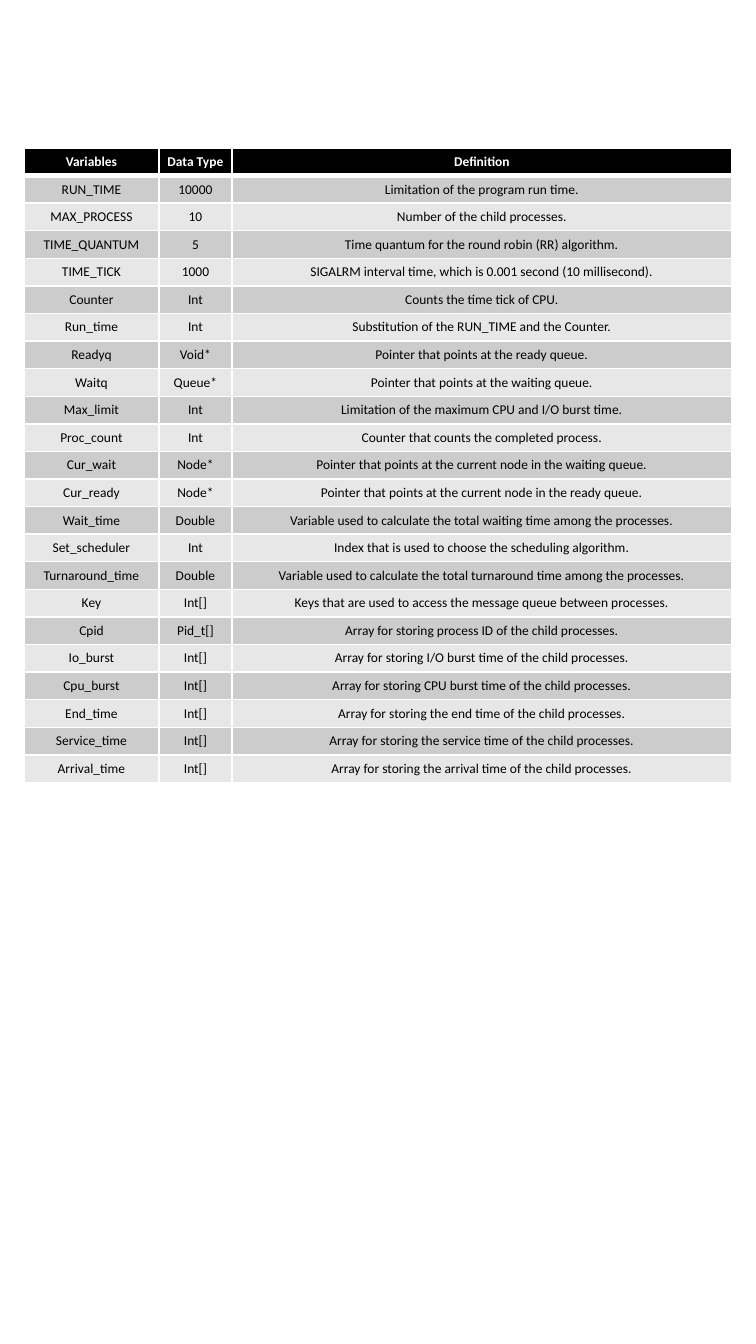
import lxml.etree
import pptx
import pptx.dml.color
import pptx.enum.text
import pptx.oxml.ns
import pptx.util

PX = pptx.util.Inches(1) / 121
SLIDE_WIDTH, SLIDE_HEIGHT = 756, 1344

HEADER = ("Variables", "Data Type", "Definition")
VARIABLES = [
    ("RUN_TIME", "10000", "Limitation of the program run time."),
    ("MAX_PROCESS", "10", "Number of the child processes."),
    ("TIME_QUANTUM", "5", "Time quantum for the round robin (RR) algorithm."),
    ("TIME_TICK", "1000", "SIGALRM interval time, which is 0.001 second (10 millisecond)."),
    ("Counter", "Int", "Counts the time tick of CPU."),
    ("Run_time", "Int", "Substitution of the RUN_TIME and the Counter."),
    ("Readyq", "Void*", "Pointer that points at the ready queue."),
    ("Waitq", "Queue*", "Pointer that points at the waiting queue."),
    ("Max_limit", "Int", "Limitation of the maximum CPU and I/O burst time."),
    ("Proc_count", "Int", "Counter that counts the completed process."),
    ("Cur_wait", "Node*", "Pointer that points at the current node in the waiting queue."),
    ("Cur_ready", "Node*", "Pointer that points at the current node in the ready queue."),
    ("Wait_time", "Double",
     "Variable used to calculate the total waiting time among the processes."),
    ("Set_scheduler", "Int", "Index that is used to choose the scheduling algorithm."),
    ("Turnaround_time", "Double",
     "Variable used to calculate the total turnaround time among the processes."),
    ("Key", "Int[]", "Keys that are used to access the message queue between processes."),
    ("Cpid", "Pid_t[]", "Array for storing process ID of the child processes."),
    ("Io_burst", "Int[]", "Array for storing I/O burst time of the child processes."),
    ("Cpu_burst", "Int[]", "Array for storing CPU burst time of the child processes."),
    ("End_time", "Int[]", "Array for storing the end time of the child processes."),
    ("Service_time", "Int[]", "Array for storing the service time of the child processes."),
    ("Arrival_time", "Int[]", "Array for storing the arrival time of the child processes."),
]


def emu(px):
    return pptx.util.Emu(round(px * PX))


def color(hex_string):
    return pptx.dml.color.RGBColor.from_string(hex_string)


class VariableSheet:
    font = "Calibri"
    font_size = 8
    white, black = "FFFFFF", "000000"
    bands = ("CCCCCC", "E7E7E7")
    thin, thick = 1, 3

    def __init__(self, slide):
        self.slide = slide

    def add_table(self, left, top, height, column_widths, rows):
        """Add a table of equally high rows, the first of them the header."""
        frame = self.slide.shapes.add_table(
            len(rows), len(column_widths),
            emu(left), emu(top), emu(sum(column_widths)), emu(height))
        table = frame.table
        for column, width in zip(table.columns, column_widths):
            column.width = emu(width)
        for index, texts in enumerate(rows):
            table.rows[index].height = emu(height / len(rows))
            for cell, text in zip(table.rows[index].cells, texts):
                self.fill_cell(cell, text, index)

    def fill_cell(self, cell, text, row_index):
        is_header = row_index == 0
        cell.margin_left = cell.margin_right = emu(7)
        cell.margin_top = cell.margin_bottom = emu(4)
        cell.vertical_anchor = pptx.enum.text.MSO_ANCHOR.MIDDLE
        cell.fill.solid()
        cell.fill.fore_color.rgb = color(
            self.black if is_header else self.bands[(row_index - 1) % 2])
        paragraph = cell.text_frame.paragraphs[0]
        paragraph.alignment = pptx.enum.text.PP_ALIGN.CENTER
        run = paragraph.add_run()
        run.text = text
        run.font.name = self.font
        run.font.size = pptx.util.Pt(self.font_size)
        run.font.bold = is_header
        run.font.color.rgb = color(self.white if is_header else self.black)
        self.draw_borders(
            cell,
            top=self.thick if row_index == 1 else self.thin,
            bottom=self.thick if is_header else self.thin)

    def draw_borders(self, cell, top, bottom):
        qn = pptx.oxml.ns.qn
        properties = cell._tc.get_or_add_tcPr()
        sides = (("L", self.thin), ("R", self.thin), ("T", top), ("B", bottom))
        for position, (side, points) in enumerate(sides):
            line = lxml.etree.Element(qn(f"a:ln{side}"), w=str(pptx.util.Pt(points)))
            fill = lxml.etree.SubElement(line, qn("a:solidFill"))
            lxml.etree.SubElement(fill, qn("a:srgbClr"), val=self.white)
            properties.insert(position, line)


def main():
    presentation = pptx.Presentation()
    presentation.slide_width = emu(SLIDE_WIDTH)
    presentation.slide_height = emu(SLIDE_HEIGHT)
    blank_layout = presentation.slide_layouts[6]
    sheet = VariableSheet(presentation.slides.add_slide(blank_layout))
    sheet.add_table(24, 148, 635, (135, 73, 500), [HEADER, *VARIABLES])
    presentation.save("out.pptx")


if __name__ == "__main__":
    main()
